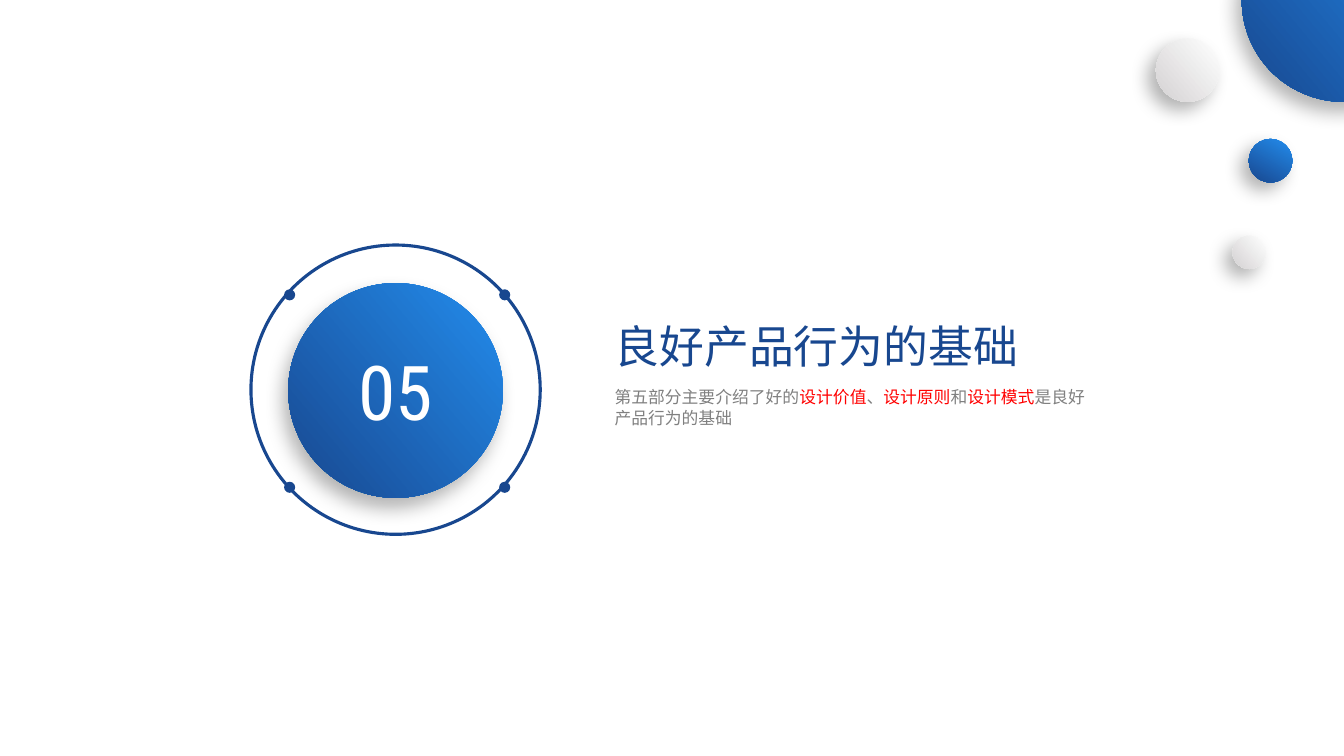
import itertools

import pptx
import pptx.dml.color
import pptx.enum.shapes
import pptx.enum.text
import pptx.oxml
import pptx.oxml.ns
import pptx.util

Cm = pptx.util.Cm
Pt = pptx.util.Pt
RGBColor = pptx.dml.color.RGBColor

NAVY = RGBColor(0x18, 0x47, 0x8F)
SKY = RGBColor(0x23, 0x8D, 0xED)
WHITE = RGBColor(0xFF, 0xFF, 0xFF)
SILVER = RGBColor(0xD4, 0xD2, 0xD3)
GREY = RGBColor(0x80, 0x80, 0x80)
RED = RGBColor(0xFF, 0x00, 0x00)

BLUES = (SKY, NAVY)
GREYS = (WHITE, SILVER)

TITLE = {"name": "Open Sans", "size": Pt(32)}
BODY = {"name": "Open Sans", "size": Pt(12)}
NUMBER = {"name": "Roboto Condensed", "size": Pt(54)}


def add_circle(slide, cx, cy, diameter):
    """Add a bare circle; centre and diameter are in centimetres."""
    sp = slide.shapes.add_shape(
        pptx.enum.shapes.MSO_SHAPE.OVAL,
        Cm(cx - diameter / 2), Cm(cy - diameter / 2), Cm(diameter), Cm(diameter))
    sp.shadow.inherit = False
    sp.fill.background()
    sp.line.fill.background()
    return sp


def add_shadow(sp, blur, distance, angle):
    """Give a shape a soft black shadow; blur and distance in points."""
    effects = sp._element.spPr.find(pptx.oxml.ns.qn("a:effectLst"))
    effects.append(pptx.oxml.parse_xml(
        f'<a:outerShdw {pptx.oxml.ns.nsdecls("a")} blurRad="{Pt(blur)}" '
        f'dist="{Pt(distance)}" dir="{angle * 60000}" algn="ctr" rotWithShape="0">'
        '<a:srgbClr val="000000"><a:alpha val="30000"/></a:srgbClr></a:outerShdw>'))


def add_ball(slide, cx, cy, diameter, colors, angle=140, shadow=(13, 8, 135)):
    """Add a circle with a gradient (clockwise angle) and a shadow."""
    sp = add_circle(slide, cx, cy, diameter)
    sp.fill.gradient()
    sp.fill.gradient_angle = 360 - angle
    for stop, color in zip(sp.fill.gradient_stops, colors):
        stop.color.rgb = color
    add_shadow(sp, *shadow)
    return sp


def add_run(p, text, color, font_format):
    r = p.add_run()
    r.text = text
    for name, value in font_format.items():
        setattr(r.font, name, value)
    r.font.color.rgb = color
    ea = pptx.oxml.parse_xml(
        f'<a:ea {pptx.oxml.ns.nsdecls("a")} typeface="{font_format["name"]}"/>')
    r.font._element.find(pptx.oxml.ns.qn("a:latin")).addnext(ea)


def add_text(slide, left, top, width, height, runs, font_format):
    """Add a one-paragraph box from (text, colour) runs, in centimetres."""
    sp = slide.shapes.add_textbox(Cm(left), Cm(top), Cm(width), Cm(height))
    tf = sp.text_frame
    tf.word_wrap = True
    for text, color in runs:
        add_run(tf.paragraphs[0], text, color, font_format)


def add_ring(slide):
    ring = add_circle(slide, 9.97, 9.82, 7.29)
    ring.line.color.rgb = NAVY
    ring.line.width = Pt(2.25)
    for cx, cy in itertools.product((7.3, 12.72), (7.43, 12.28)):
        dot = add_circle(slide, cx, cy, 0.28)
        dot.fill.solid()
        dot.fill.fore_color.rgb = NAVY


def add_number(slide, number):
    sp = add_ball(slide, 9.97, 9.84, 5.41, BLUES, shadow=(14, 8, 120))
    tf = sp.text_frame
    tf.vertical_anchor = pptx.enum.text.MSO_ANCHOR.MIDDLE
    p = tf.paragraphs[0]
    p.alignment = pptx.enum.text.PP_ALIGN.CENTER
    add_run(p, number, WHITE, NUMBER)


def add_corner_balls(slide):
    add_ball(slide, 33.86, 0, 5.13, BLUES, shadow=(14, 8, 120))
    add_ball(slide, 29.93, 1.77, 1.6, GREYS)
    add_ball(slide, 31.48, 6.36, 0.84, GREYS)
    add_ball(slide, 32.02, 4.05, 1.1, BLUES, angle=120)


def main():
    prs = pptx.Presentation()
    prs.slide_width, prs.slide_height = Cm(33.87), Cm(19.05)
    s = prs.slides.add_slide(prs.slide_layouts[6])
    add_ring(s)
    add_text(s, 15.24, 7.9, 11.96, 1.63, [("良好产品行为的基础", NAVY)], TITLE)
    add_text(s, 15.24, 9.63, 12.5, 1.27, [
        ("第五部分主要介绍了好的", GREY),
        ("设计价值", RED),
        ("、", GREY),
        ("设计原则", RED),
        ("和", GREY),
        ("设计模式", RED),
        ("是良好产品行为的基础", GREY),
    ], BODY)
    add_number(s, "05")
    add_corner_balls(s)
    prs.save("out.pptx")


if __name__ == "__main__":
    main()
